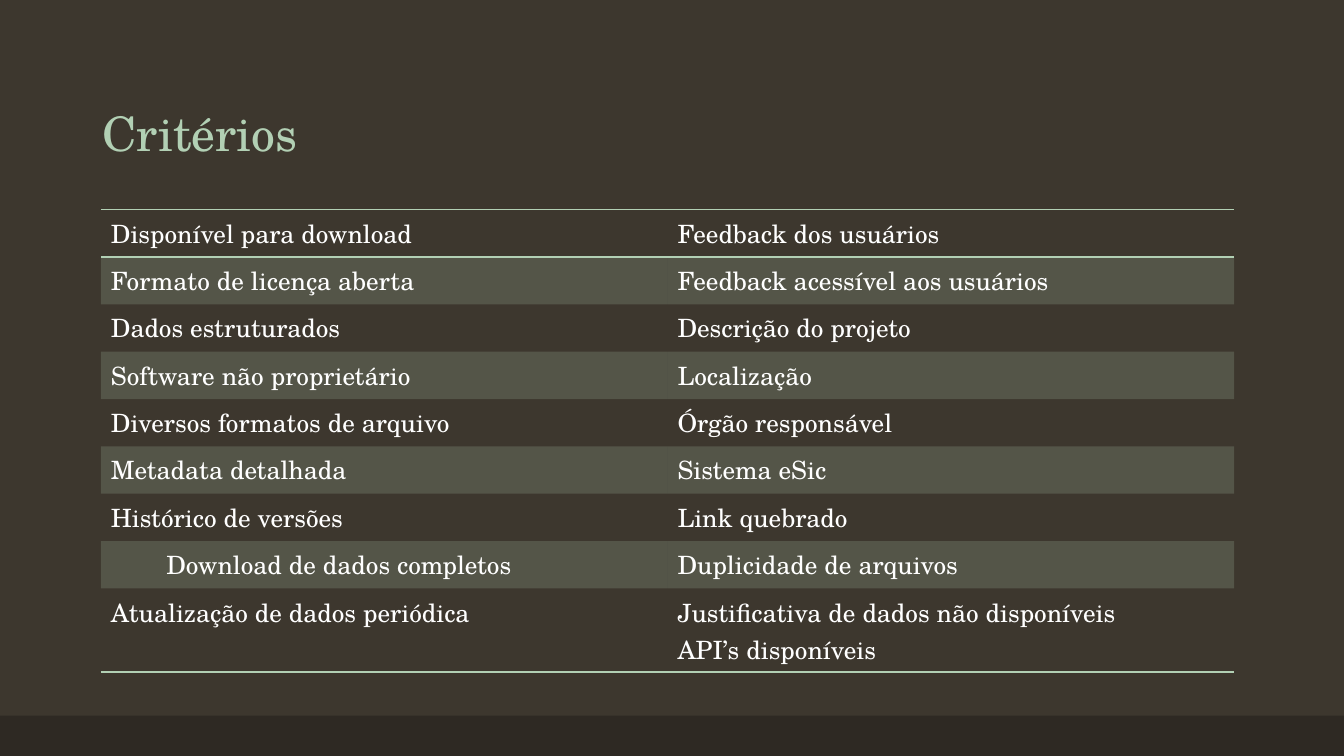
from lxml.etree import SubElement
from pptx import Presentation
from pptx.dml.color import RGBColor
from pptx.enum.shapes import MSO_SHAPE
from pptx.enum.text import MSO_ANCHOR
from pptx.oxml.ns import qn
from pptx.util import Inches, Pt

COLORS = {"background": "3D372E", "footer": "2E2923", "accent": "B2D0B4", "text": "FFFFFF"}
FONT = "TeX Gyre Schola"
NO_GRID_STYLE = "{2D5ABB26-0587-4C30-8999-92F81FD0307C}"
INDENTED = "Download de dados completos"
CRITERIA = [
    ("Disponível para download", "Feedback dos usuários"),
    ("Formato de licença aberta", "Feedback acessível aos usuários"),
    ("Dados estruturados", "Descrição do projeto"),
    ("Software não proprietário", "Localização"),
    ("Diversos formatos de arquivo", "Órgão responsável"),
    ("Metadata detalhada", "Sistema eSic"),
    ("Histórico de versões", "Link quebrado"),
    (INDENTED, "Duplicidade de arquivos"),
    ("Atualização de dados periódica", "Justificativa de dados não disponíveis\nAPI’s disponíveis"),
]


def rgb(name):
    """Return the named palette colour."""
    return RGBColor.from_string(COLORS[name])


def style_text(tf, size, color):
    """Apply the slide font to every paragraph of a text frame."""
    for p in tf.paragraphs:
        p.font.name = FONT
        p.font.size = Pt(size)
        p.font.color.rgb = rgb(color)


def add_footer(s, left, top, width, height):
    """Draw the dark band along the bottom edge."""
    sp = s.shapes.add_shape(MSO_SHAPE.RECTANGLE, Inches(left), Inches(top), Inches(width), Inches(height))
    sp.shadow.inherit = False
    sp.fill.solid()
    sp.fill.fore_color.rgb = rgb("footer")
    sp.line.fill.background()


def add_title(s, left, top, width, height, text):
    """Place the heading at the bottom of its box."""
    tf = s.shapes.add_textbox(Inches(left), Inches(top), Inches(width), Inches(height)).text_frame
    tf.word_wrap = True
    tf.vertical_anchor = MSO_ANCHOR.BOTTOM
    tf.text = text
    tf.paragraphs[0].line_spacing = 0.9
    style_text(tf, 34, "accent")


def add_border(cell, side):
    """Add an accent line to one side of a cell."""
    ln = SubElement(cell._tc.get_or_add_tcPr(), qn(f"a:ln{side}"), w=str(Pt(1)))
    fill = SubElement(ln, qn("a:solidFill"))
    SubElement(fill, qn("a:srgbClr"), val=COLORS["accent"])


def fill_cell(cell, shaded):
    """Give a cell the translucent band colour or no fill."""
    if not shaded:
        cell.fill.background()
        return
    cell.fill.solid()
    cell.fill.fore_color.rgb = rgb("accent")
    color = cell._tc.tcPr.find(f"{qn('a:solidFill')}/{qn('a:srgbClr')}")
    SubElement(color, qn("a:alpha"), val="20000")


def add_criteria(s, left, top, width, row_height, last_height, rows):
    """Build the banded two-column table of criteria."""
    height = row_height * (len(rows) - 1) + last_height
    table = s.shapes.add_table(len(rows), 2, Inches(left), Inches(top), Inches(width), Inches(height)).table
    table.first_row = table.horz_banding = False
    table._tbl.tblPr.find(qn("a:tableStyleId")).text = NO_GRID_STYLE
    last = len(rows) - 1
    for i, texts in enumerate(rows):
        table.rows[i].height = Inches(last_height if i == last else row_height)
        for j, text in enumerate(texts):
            cell = table.cell(i, j)
            cell.text = text
            style_text(cell.text_frame, 18, "text")
            if text == INDENTED:
                cell.text_frame.paragraphs[0]._p.get_or_add_pPr().set("marL", str(Inches(0.55)))
            if i == 0:
                add_border(cell, "T")
            if i in (0, last):
                add_border(cell, "B")
            fill_cell(cell, i % 2 == 1)


def main():
    """Create the criteria slide and save it."""
    prs = Presentation()
    prs.slide_width, prs.slide_height = Inches(13.33), Inches(7.5)
    s = prs.slides.add_slide(prs.slide_layouts[6])
    s.background.fill.solid()
    s.background.fill.fore_color.rgb = rgb("background")
    add_footer(s, 0, 7.1, 13.33, 0.4)
    add_title(s, 0.92, 0.4, 11.5, 1.25, "Critérios")
    add_criteria(s, 1, 2.08, 11.24, 0.47, 0.83, CRITERIA)
    prs.save("out.pptx")


if __name__ == "__main__":
    main()
